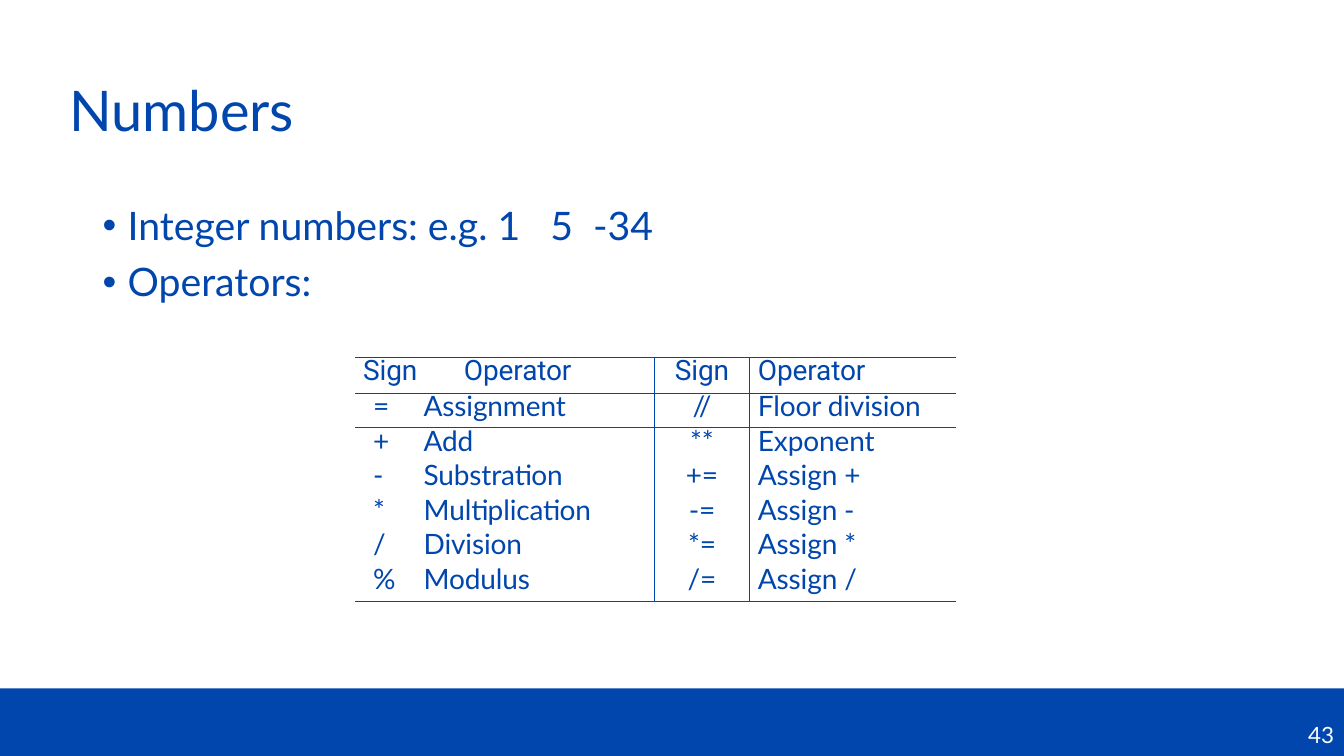
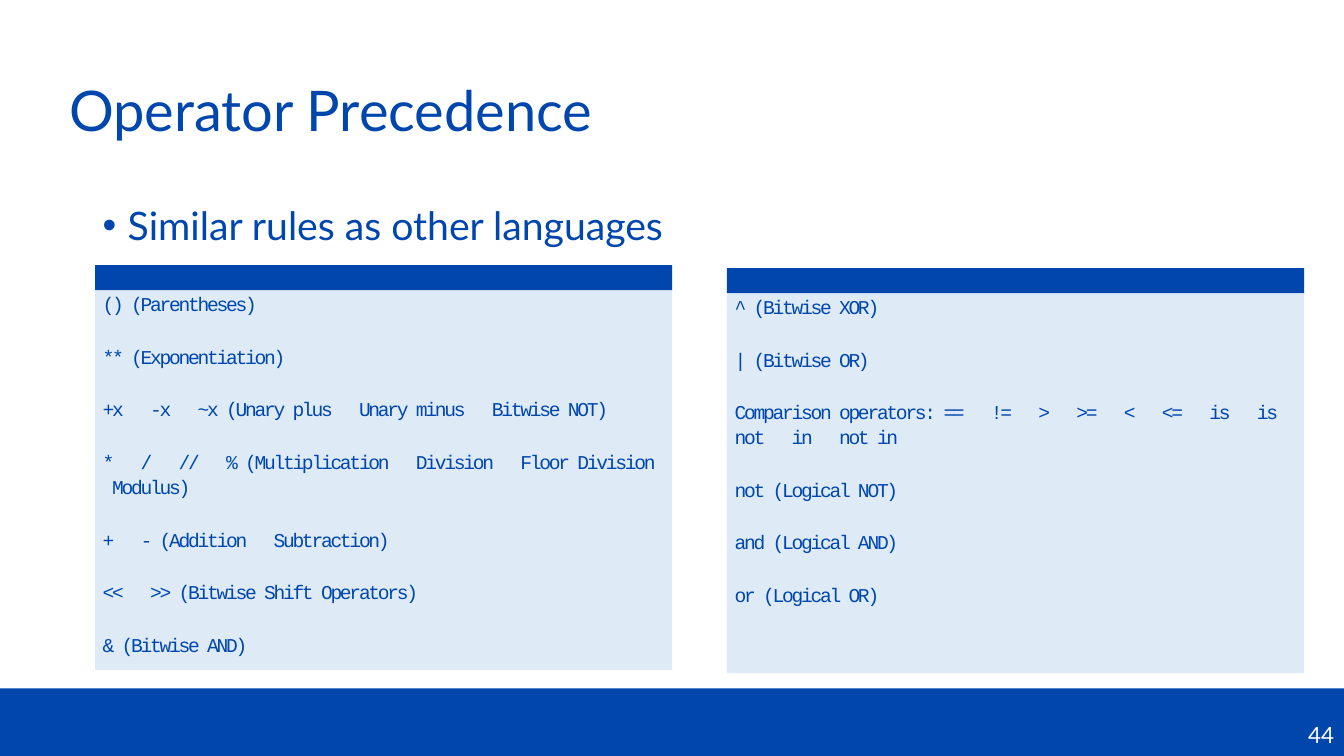
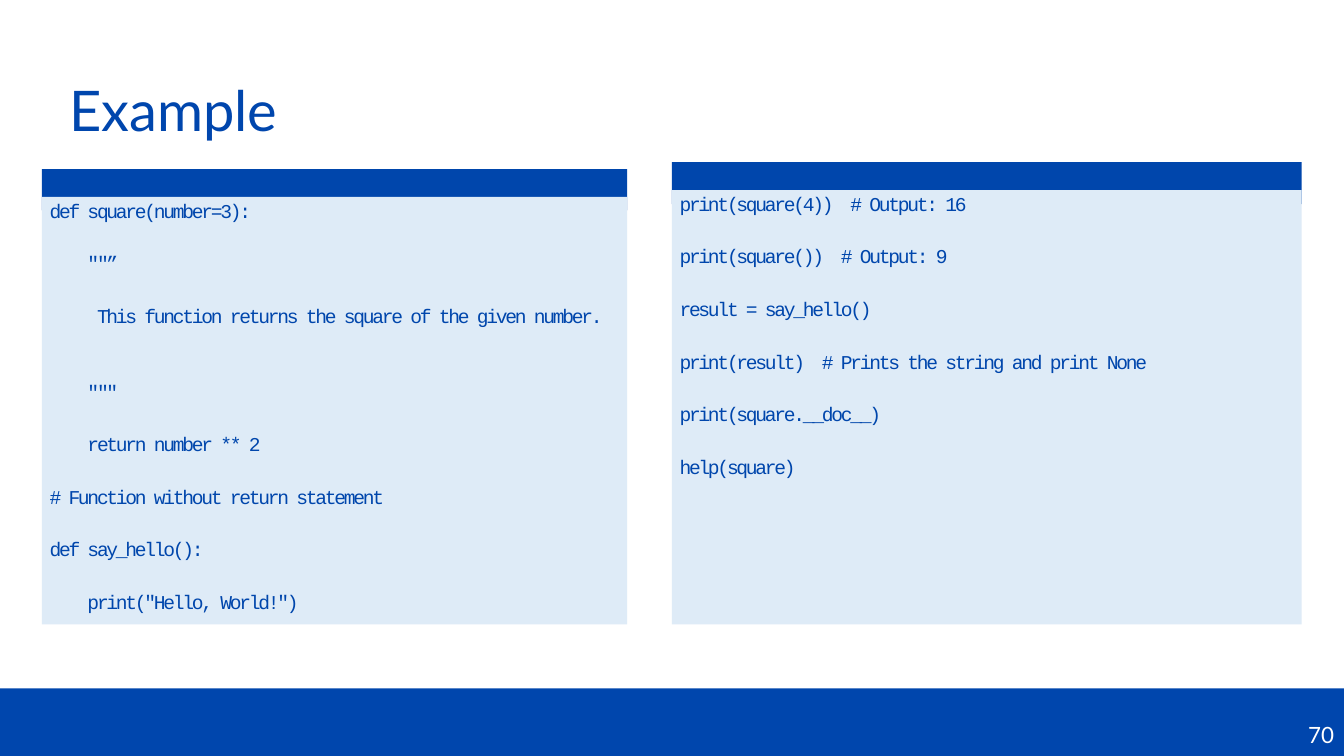
from lxml.etree import SubElement
from pptx import Presentation
from pptx.dml.color import RGBColor
from pptx.enum.shapes import MSO_SHAPE
from pptx.enum.text import MSO_ANCHOR, PP_ALIGN
from pptx.oxml import parse_xml
from pptx.oxml.ns import nsdecls, qn
from pptx.util import Pt

BLUE = "0046AD"
DEEP_BLUE = "0046AC"
PALE_BLUE = "DEEBF7"
WHITE = "FFFFFF"
PAGE_WIDTH, PAGE_HEIGHT = 960, 540
BAND_TOP = 491.8
CODE_GAP = 19.6

OPERATORS = [
    ("Sign\tOperator", "Sign", "Operator"),
    ("=\tAssignment", "//", "Floor division"),
    ("+\tAdd", "**", "Exponent"),
    ("‐\tSubstration", "+=", "Assign +"),
    ("*\tMultiplication", "‐=", "Assign ‐"),
    ("/\tDivision", "*=", "Assign *"),
    ("%\tModulus", "/=", "Assign /"),
]
HIGH_PRECEDENCE = [
    "() (Parentheses)",
    "** (Exponentiation)",
    "+x   -x   ~x (Unary plus   Unary minus   Bitwise NOT)",
    "*   /   //   % (Multiplication   Division   Floor Division   Modulus)",
    "+   - (Addition   Subtraction)",
    "<<   >> (Bitwise Shift Operators)",
    "& (Bitwise AND)",
]
LOW_PRECEDENCE = [
    "^ (Bitwise XOR)",
    "| (Bitwise OR)",
    "Comparison operators: ==   !=   >   >=   <   <=   is   is not   in   not in",
    "not (Logical NOT)",
    "and (Logical AND)",
    "or (Logical OR)",
]
DEFINITIONS = [
    "def square(number=3):",
    '    ""”',
    "     This function returns the square of the given number.",
    '    """',
    "    return number ** 2",
    "# Function without return statement",
    "def say_hello():",
    '    print("Hello, World!")',
]
CALLS = [
    "print(square(4))  # Output: 16",
    "print(square())  # Output: 9",
    "result = say_hello()",
    "print(result)  # Prints the string and print None",
    "print(square.__doc__)",
    "help(square)",
]


def color(value):
    return RGBColor.from_string(value)


def write(para, text, size, font="Lato", ink=BLUE, spacing=0):
    para.text = text
    para.font.size = Pt(size)
    para.font.name = font
    para.font.color.rgb = color(ink)
    defaults = para._p.pPr.find(qn("a:defRPr"))
    if spacing:
        defaults.set("spc", str(round(spacing * 100)))
    return defaults


def indent(para, left, first=0):
    properties = para._p.get_or_add_pPr()
    properties.set("marL", str(Pt(left)))
    properties.set("indent", str(Pt(first)))


def paragraphs(frame, lines):
    for number, line in enumerate(lines):
        yield (frame.add_paragraph() if number else frame.paragraphs[0]), line


def no_insets(item):
    item.margin_left = item.margin_right = 0
    item.margin_top = item.margin_bottom = 0


def add_rectangle(page, left, top, width, height, fill):
    box = page.shapes.add_shape(
        MSO_SHAPE.RECTANGLE, Pt(left), Pt(top), Pt(width), Pt(height))
    box.shadow.inherit = False
    box.fill.solid()
    box.fill.fore_color.rgb = color(fill)
    box.line.fill.background()
    return box


def add_text_frame(page, left, top, width, height):
    box = page.shapes.add_textbox(Pt(left), Pt(top), Pt(width), Pt(height))
    box.text_frame.word_wrap = True
    return box.text_frame


def add_page(deck, title, number):
    page = deck.slides.add_slide(deck.slide_layouts[6])
    band = add_rectangle(
        page, 0, BAND_TOP, PAGE_WIDTH, PAGE_HEIGHT - BAND_TOP, BLUE)
    frame = band.text_frame
    frame.vertical_anchor = MSO_ANCHOR.BOTTOM
    frame.margin_bottom = Pt(6)
    frame.paragraphs[0].alignment = PP_ALIGN.RIGHT
    write(frame.paragraphs[0], str(number), 16, ink=WHITE)

    frame = add_text_frame(page, 42.5, 28.8, 851.8, 104.4)
    frame.vertical_anchor = MSO_ANCHOR.MIDDLE
    frame.paragraphs[0].line_spacing = 0.9
    write(frame.paragraphs[0], title, 40)
    return page


def add_bullets(page, width, height, lines):
    frame = add_text_frame(page, 66.2, 144, width, height)
    for para, line in paragraphs(frame, lines):
        indent(para, 18, -18)
        para.line_spacing = 0.9
        para.space_before = Pt(10)
        defaults = write(para, line, 28)
        defaults.addprevious(parse_xml(
            f'<a:buFont {nsdecls("a")} typeface="Arial"/>'))
        defaults.addprevious(parse_xml(
            f'<a:buChar {nsdecls("a")} char="•"/>'))


def add_code_panel(page, left, top, width, bar_height, body_top, bottom,
                   lines, wide_gap_after=None):
    add_rectangle(page, left, top, width, bar_height, DEEP_BLUE)
    body = add_rectangle(
        page, left, body_top, width, bottom - body_top, PALE_BLUE)
    frame = body.text_frame
    frame.word_wrap = True
    frame.vertical_anchor = MSO_ANCHOR.TOP
    no_insets(frame)
    for number, (para, line) in enumerate(paragraphs(frame, lines)):
        para.alignment = PP_ALIGN.LEFT
        indent(para, 5.4)
        para.line_spacing = 1.07
        para.space_before = Pt(CODE_GAP)
        if number == wide_gap_after:
            para.space_after = Pt(16.6)
        write(para, line, 14, "Courier New", DEEP_BLUE, -1.65)


def set_borders(cell, edges):
    properties = cell._tc.get_or_add_tcPr()
    for side, shown in edges.items():
        line = SubElement(properties, qn(f"a:ln{side}"), w=str(Pt(0.5)))
        if shown:
            fill = SubElement(line, qn("a:solidFill"))
            SubElement(fill, qn("a:srgbClr"), val=DEEP_BLUE)
        else:
            SubElement(line, qn("a:noFill"))


def add_operator_table(page, left, top, widths, rows):
    last_row, last_column = len(rows) - 1, len(widths) - 1
    heights = [25.2 if row in (0, last_row) else 24.7
               for row in range(len(rows))]
    table = page.shapes.add_table(
        len(rows), len(widths), Pt(left), Pt(top),
        Pt(sum(widths)), Pt(sum(heights))).table
    table.first_row = table.horz_banding = False
    for column, width in zip(table.columns, widths):
        column.width = Pt(width)
    for row, texts in enumerate(rows):
        table.rows[row].height = Pt(heights[row])
        for column, text in enumerate(texts):
            cell = table.cell(row, column)
            no_insets(cell)
            set_borders(cell, {
                "L": column > 0,
                "R": column < last_column,
                "T": row <= 2,
                "B": row in (0, 1, last_row),
            })
            cell.fill.background()
            para = cell.text_frame.paragraphs[0]
            para.line_spacing = Pt(21.2)
            defaults = write(para, text, 20, "Lato" if row else "Roboto",
                             DEEP_BLUE, -0.1)
            if column == 1:
                para.alignment = PP_ALIGN.CENTER
            else:
                indent(para, 13 if row and column == 0 else 5.8)
            if column == 0:
                defaults.addprevious(parse_xml(
                    f'<a:tabLst {nsdecls("a")}>'
                    f'<a:tab pos="{Pt(36)}" algn="l"/></a:tabLst>'))


def main():
    deck = Presentation()
    deck.slide_width, deck.slide_height = Pt(PAGE_WIDTH), Pt(PAGE_HEIGHT)

    page = add_page(deck, "Numbers", 43)
    add_bullets(page, 456.5, 94.3,
                ["Integer numbers: e.g. 1   5  -34", "Operators:"])
    add_operator_table(page, 253.6, 255.4, [213.8, 68.2, 147.6], OPERATORS)

    page = add_page(deck, "Operator Precedence", 44)
    add_bullets(page, 828, 49, ["Similar rules as other languages"])
    add_code_panel(page, 67.9, 189.4, 412.2, 18, 207.4, 478.8,
                   HIGH_PRECEDENCE)
    add_code_panel(page, 519.3, 191.5, 412.2, 18, 209.5, 480.9,
                   LOW_PRECEDENCE)

    page = add_page(deck, "Example", 70)
    add_code_panel(page, 30, 120.8, 418, 29.5, 140.6, 446, DEFINITIONS,
                   wide_gap_after=2)
    add_code_panel(page, 480, 115.9, 449.8, 30, 135.8, 446, CALLS)

    deck.save("out.pptx")


if __name__ == "__main__":
    main()
